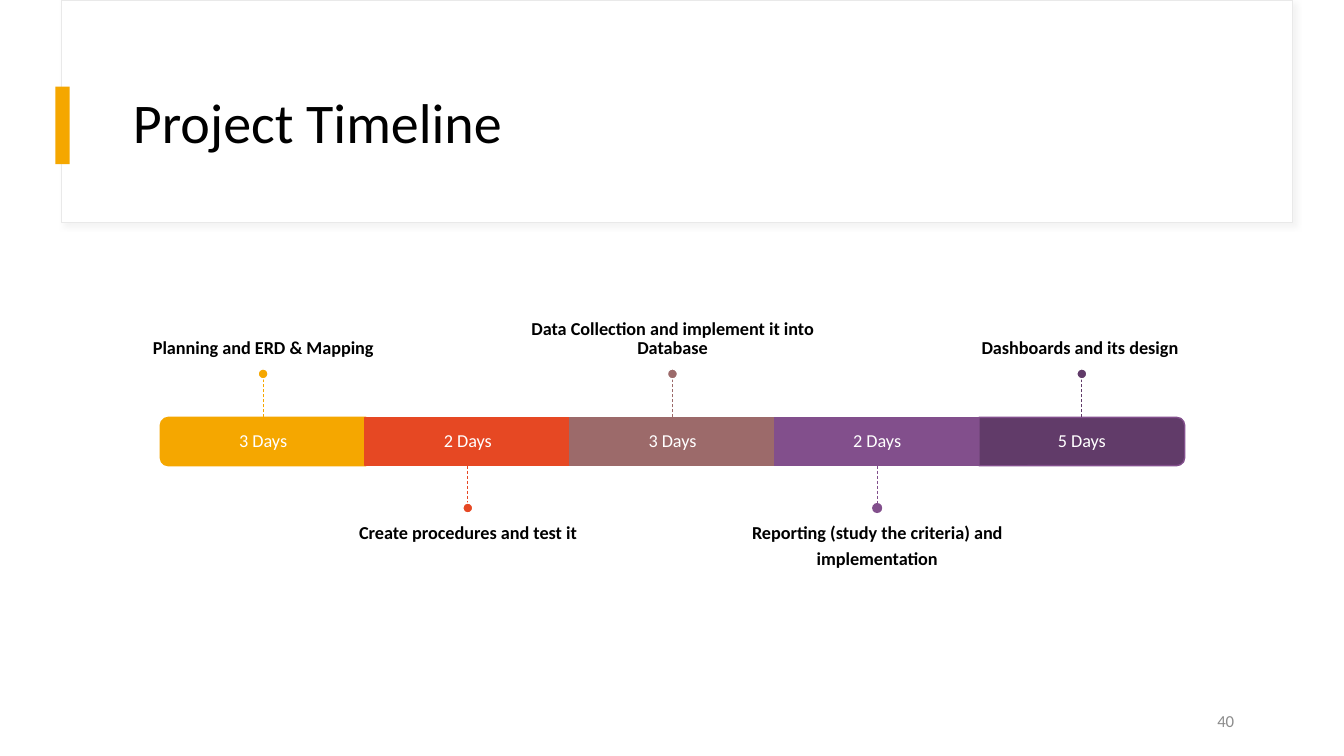
"""Build the project timeline slide."""
from dataclasses import dataclass

from lxml.etree import SubElement
from pptx import Presentation
from pptx.dml.color import RGBColor
from pptx.enum.dml import MSO_LINE
from pptx.enum.shapes import MSO_CONNECTOR, MSO_SHAPE
from pptx.enum.text import MSO_ANCHOR as Anchor, PP_ALIGN as Align
from pptx.oxml.ns import qn
from pptx.shapes.autoshape import Shape
from pptx.shapes.shapetree import SlideShapes
from pptx.text.text import TextFrame
from pptx.util import Emu, Pt

PX = 9144
FONT = "Calibri"
WHITE = RGBColor(0xFF, 0xFF, 0xFF)
BLACK = RGBColor(0x00, 0x00, 0x00)
GRAY = RGBColor(0x8C, 0x8C, 0x8C)
FRAME = RGBColor(0xE9, 0xE9, 0xE9)
SHADE = RGBColor(0xD9, 0xD9, 0xD9)
AMBER = RGBColor(0xF5, 0xA7, 0x00)
RED = RGBColor(0xE6, 0x48, 0x23)
ROSE = RGBColor(0x9C, 0x6A, 0x6A)
PURPLE = RGBColor(0x82, 0x4F, 0x8C)
PLUM = RGBColor(0x61, 0x3B, 0x69)

BAR_LEFT, BAR_TOP, BAR_H = 159, 414, 48
STEP, BAR_W = 203, 204
STEM, DOT = 38, 10
LABEL_W, LABEL_H = 338, 167
INSET = 11


@dataclass(frozen=True)
class Phase:
    """One segment of the timeline."""

    days: str
    label: tuple[str, ...]
    color: RGBColor
    edge: RGBColor
    dot_edge: RGBColor | None = WHITE
    above: bool = True
    rotation: int = 0


PHASES = (
    Phase("3 Days", ("Planning and ERD & Mapping",), AMBER, AMBER, rotation=270),
    Phase("2 Days", ("Create procedures and test it",), RED, RED, above=False),
    Phase("3 Days", ("Data Collection and implement it into Database",), ROSE, ROSE),
    Phase("2 Days", ("Reporting (study the criteria) and", "implementation"),
          PURPLE, PURPLE, dot_edge=None, above=False),
    Phase("5 Days", ("Dashboards and its design ",), PLUM, PURPLE, rotation=90),
)


def px(n: int) -> Emu:
    """Turn px into EMU."""
    return Emu(n * PX)


def add_block(sp: SlideShapes, kind: MSO_SHAPE, x: int, y: int, w: int, h: int,
              fill: RGBColor, line: RGBColor | None = None, weight: float = 1) -> Shape:
    """Add a filled shape without a shadow."""
    s = sp.add_shape(kind, px(x), px(y), px(w), px(h))
    s.shadow.inherit = False
    s.fill.solid()
    s.fill.fore_color.rgb = fill
    if line is None:
        s.line.fill.background()
    else:
        s.line.color.rgb = line
        s.line.width = Pt(weight)
    return s


def add_box(sp: SlideShapes, x: int, y: int, w: int, h: int) -> TextFrame:
    """Add a text box and return its frame."""
    return sp.add_textbox(px(x), px(y), px(w), px(h)).text_frame


def write(tf: TextFrame, lines: tuple[str, ...], size: int, color: RGBColor,
          align: Align, anchor: Anchor = Anchor.MIDDLE, bold: bool = False,
          spacing: float = 0.9, after: float = 0) -> None:
    """Fill a text frame with one paragraph per line."""
    tf.word_wrap = True
    tf.vertical_anchor = anchor
    for i, line in enumerate(lines):
        p = tf.add_paragraph() if i else tf.paragraphs[0]
        p.alignment = align
        p.line_spacing = spacing
        p.space_after = Pt(after)
        r = p.add_run()
        r.text = line
        r.font.name = FONT
        r.font.size = Pt(size)
        r.font.bold = bold
        r.font.color.rgb = color


def set_insets(tf: TextFrame, side: int, top: int, bottom: int) -> None:
    """Set the inner margins of a text frame."""
    tf.margin_left = tf.margin_right = px(side)
    tf.margin_top, tf.margin_bottom = px(top), px(bottom)


def add_soft_shadow(s: Shape) -> None:
    """Give a shape a faint shadow to the lower right."""
    effects = s.element.spPr.find(qn("a:effectLst"))
    shadow = SubElement(effects, qn("a:outerShdw"), blurRad=str(Pt(4)), dist=str(Pt(3)),
                        dir="2700000", algn="tl", rotWithShape="0")
    color = SubElement(shadow, qn("a:srgbClr"), val=str(SHADE))
    SubElement(color, qn("a:alpha"), val="30000")


def add_phase(sp: SlideShapes, index: int, phase: Phase) -> None:
    """Draw a segment with its days, stem, dot and label."""
    left = BAR_LEFT + index * STEP
    mid_x, mid_y = left + BAR_W // 2, BAR_TOP + BAR_H // 2
    if phase.rotation:
        s = add_block(sp, MSO_SHAPE.ROUND_2_SAME_RECTANGLE, mid_x - BAR_H // 2,
                      mid_y - BAR_W // 2, BAR_H, BAR_W, phase.color, phase.edge)
        s.rotation = phase.rotation
        tf = add_box(sp, left, BAR_TOP, BAR_W, BAR_H)
    else:
        s = add_block(sp, MSO_SHAPE.RECTANGLE, left, BAR_TOP, BAR_W, BAR_H,
                      phase.color, phase.edge)
        tf = s.text_frame
    set_insets(tf, INSET, INSET, INSET)
    write(tf, (phase.days,), 13, WHITE, Align.CENTER, after=4.5)

    if phase.above:
        start, end = BAR_TOP, BAR_TOP - STEM
        dot_top, label_top = end - DOT, end - DOT + 1 - LABEL_H
        anchor, insets = Anchor.BOTTOM, (0, 0, INSET)
    else:
        start, end = BAR_TOP + BAR_H, BAR_TOP + BAR_H + STEM
        dot_top, label_top = end - 1, end + DOT - 1
        anchor, insets = Anchor.TOP, (0, INSET, 0)

    tf = add_box(sp, mid_x - LABEL_W // 2, label_top, LABEL_W, LABEL_H)
    set_insets(tf, *insets)
    write(tf, phase.label, 13, BLACK, Align.CENTER, anchor, bold=True, after=4.5)

    stem = sp.add_connector(MSO_CONNECTOR.STRAIGHT, px(mid_x), px(start), px(mid_x), px(end))
    if not phase.rotation:
        stem.begin_connect(s, 0 if phase.above else 2)
    stem.line.color.rgb = phase.color
    stem.line.width = Pt(0.5)
    stem.line.dash_style = MSO_LINE.DASH
    SubElement(stem.element.spPr, qn("a:effectLst"))
    add_block(sp, MSO_SHAPE.OVAL, mid_x - DOT // 2, dot_top, DOT, DOT,
              phase.color, phase.dot_edge)


def main() -> None:
    """Build and save the slide."""
    prs = Presentation()
    prs.slide_width, prs.slide_height = px(1333), px(750)
    sp = prs.slides.add_slide(prs.slide_layouts[6]).shapes

    header = add_block(sp, MSO_SHAPE.RECTANGLE, 61, 0, 1221, 221, WHITE, FRAME, 0.75)
    add_soft_shadow(header)
    add_block(sp, MSO_SHAPE.RECTANGLE, 55, 86, 14, 77, AMBER)
    write(add_box(sp, 122, 60, 1112, 129), ("Project Timeline",), 40, BLACK, Align.LEFT)
    for index, phase in enumerate(PHASES):
        add_phase(sp, index, phase)
    write(add_box(sp, 934, 695, 300, 40), ("40",), 12, GRAY, Align.RIGHT, spacing=1.0)
    prs.save("out.pptx")


if __name__ == "__main__":
    main()
